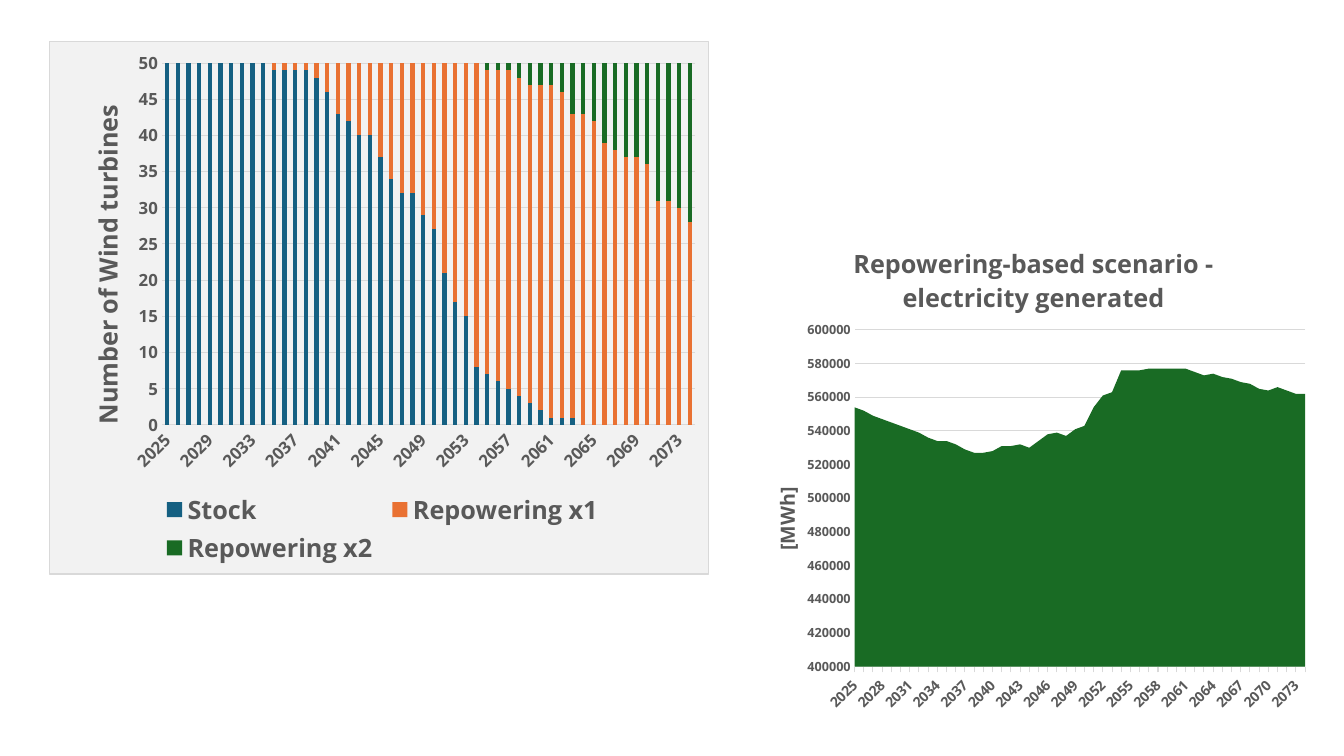
from dataclasses import dataclass
from typing import Any, Optional

from lxml import etree
from pptx import Presentation
from pptx import util as u
from pptx.chart.data import CategoryChartData
from pptx.dml.color import RGBColor
from pptx.enum import chart as ce
from pptx.oxml import parse_xml
from pptx.oxml.ns import nsdecls, qn

PX = u.Inches(1) // 100
FONT = "Open Sans"
BLUE = RGBColor(0x15, 0x60, 0x82)
ORANGE = RGBColor(0xE9, 0x71, 0x32)
GREEN = RGBColor(0x19, 0x6B, 0x24)
TEXT_GRAY = RGBColor(0x59, 0x59, 0x59)
LINE_GRAY = RGBColor(0xD9, 0xD9, 0xD9)
PANEL_GRAY = RGBColor(0xF2, 0xF2, 0xF2)

YEARS = [str(year) for year in range(2025, 2075)]
TURBINES = 50
STOCK = [50] * 10 + [
    49, 49, 49, 49, 48, 46, 43, 42, 40, 40, 37, 34, 32, 32, 29, 27, 21, 17, 15, 8,
    7, 6, 5, 4, 3, 2, 1, 1, 1] + [0] * 11
SECOND_REPOWERING = [0] * 30 + [
    1, 1, 1, 2, 3, 3, 3, 4, 7, 7, 8, 11, 12, 13, 13, 14, 19, 19, 20, 22]
FIRST_REPOWERING = [
    TURBINES - stock - second for stock, second in zip(STOCK, SECOND_REPOWERING)]
BASE_MWH = [2000] * len(YEARS)
MAIN_MWH = [1000 * value for value in (
    552, 550, 547, 545, 543, 541, 539, 537, 534, 532, 532, 530, 527, 525, 525, 526, 529,
    529, 530, 528, 532, 536, 537, 535, 539, 541, 552, 559, 561, 574, 574, 574, 575, 575,
    575, 575, 575, 573, 571, 572, 570, 569, 567, 566, 563, 562, 564, 562, 560, 560)]


@dataclass(frozen=True)
class Series:
    name: str
    values: list[int]
    color: RGBColor


@dataclass(frozen=True)
class ChartPanel:
    kind: ce.XL_CHART_TYPE
    box: tuple[int, int, int, int]
    plot_box: tuple[float, ...]
    series: list[Series]
    axis_title: str
    axis_title_size: int
    axis_title_at: tuple[float, ...]
    category_size: int
    value_size: int
    minimum: int
    maximum: int
    step: int
    label_skip: int
    tick_mark: ce.XL_TICK_MARK
    title: Optional[str] = None
    title_at: tuple[float, ...] = ()
    legend_box: tuple[float, ...] = ()
    fill: Optional[RGBColor] = None


PANELS = [
    ChartPanel(
        ce.XL_CHART_TYPE.COLUMN_STACKED, (49, 41, 654, 529), (0.17, 0.04, 0.81, 0.68),
        [Series("Stock", STOCK, BLUE),
         Series("Repowering x1", FIRST_REPOWERING, ORANGE),
         Series("Repowering x2", SECOND_REPOWERING, GREEN)],
        "Number of Wind turbines", 18, (0.05, 0.11), 12, 12,
        0, TURBINES, 5, 4, ce.XL_TICK_MARK.NONE,
        legend_box=(0.16, 0.84, 0.69, 0.15), fill=PANEL_GRAY),
    ChartPanel(
        ce.XL_CHART_TYPE.AREA_STACKED, (733, 211, 573, 506), (0.2, 0.23, 0.78, 0.66),
        [Series("Series 1", BASE_MWH, BLUE), Series("Series 2", MAIN_MWH, GREEN)],
        "[MWh]", 14, (0.05, 0.53), 10, 9,
        400000, 600000, 20000, 3, ce.XL_TICK_MARK.OUTSIDE,
        title="Repowering-based scenario - electricity generated", title_at=(0.19, 0.05)),
]


def format_font(font: Any, *, size: int, color: RGBColor = TEXT_GRAY) -> None:
    font.name = FONT
    font.size = u.Pt(size)
    font.bold = True
    font.color.rgb = color


def write_text(frame: Any, text: str, *, size: int, color: RGBColor = TEXT_GRAY) -> None:
    paragraph = frame.paragraphs[0]
    run = paragraph.add_run()
    run.text = text
    format_font(run.font, size=size, color=color)


def chart_part(chart: Any, *names: str) -> Any:
    part = chart.element.find(qn("c:chart"))
    for name in names:
        part = part.find(qn(f"c:{name}"))
    return part


def place(parent: Any, box: tuple[float, ...], index: int) -> None:
    for old_layout in parent.findall(qn("c:layout")):
        parent.remove(old_layout)
    layout = etree.Element(qn("c:layout"))
    manual = etree.SubElement(layout, qn("c:manualLayout"))
    if parent.tag == qn("c:plotArea"):
        etree.SubElement(manual, qn("c:layoutTarget")).set("val", "inner")
    for name in ("xMode", "yMode"):
        etree.SubElement(manual, qn(f"c:{name}")).set("val", "edge")
    for name, value in zip("xywh", box):
        etree.SubElement(manual, qn(f"c:{name}")).set("val", str(value))
    parent.insert(index, layout)


def style_background(chart: Any, fill: Optional[RGBColor]) -> None:
    paint = f'<a:solidFill><a:srgbClr val="{fill}"/></a:solidFill>' if fill else "<a:noFill/>"
    border = (f'<a:solidFill><a:srgbClr val="{LINE_GRAY}"/></a:solidFill>'
              if fill else "<a:noFill/>")
    properties = parse_xml(
        f'<c:spPr {nsdecls("c", "a")}>{paint}<a:ln w="{u.Pt(0.75)}">{border}</a:ln></c:spPr>')
    chart_part(chart).addnext(properties)


def style_line(line: Any) -> None:
    line.color.rgb = LINE_GRAY
    line.width = u.Pt(0.75)


def style_axes(chart: Any, panel: ChartPanel) -> None:
    years = chart.category_axis
    years.major_tick_mark = panel.tick_mark
    years.minor_tick_mark = ce.XL_TICK_MARK.NONE
    years.has_major_gridlines = False
    style_line(years.format.line)
    format_font(years.tick_labels.font, size=panel.category_size)
    year_axis = chart_part(chart, "plotArea", "catAx")
    next(year_axis.iter(qn("a:bodyPr"))).set("rot", "-2700000")
    skip = etree.Element(qn("c:tickLblSkip"))
    skip.set("val", str(panel.label_skip))
    year_axis.find(qn("c:lblOffset")).addnext(skip)

    amounts = chart.value_axis
    amounts.minimum_scale = panel.minimum
    amounts.maximum_scale = panel.maximum
    amounts.major_unit = panel.step
    amounts.major_tick_mark = ce.XL_TICK_MARK.NONE
    amounts.minor_tick_mark = ce.XL_TICK_MARK.NONE
    amounts.has_major_gridlines = True
    style_line(amounts.major_gridlines.format.line)
    amounts.format.line.fill.background()
    format_font(amounts.tick_labels.font, size=panel.value_size)
    amounts.tick_labels.number_format = "General"
    amounts.tick_labels.number_format_is_linked = False
    write_text(amounts.axis_title.text_frame, panel.axis_title, size=panel.axis_title_size)
    title = chart_part(chart, "plotArea", "valAx", "title")
    body = next(title.iter(qn("a:bodyPr")))
    body.set("rot", "-5400000")
    body.set("vert", "horz")
    place(title, panel.axis_title_at, 1)


def add_panel(slide: Any, panel: ChartPanel) -> None:
    data = CategoryChartData()
    data.categories = YEARS
    for series in panel.series:
        data.add_series(series.name, series.values)
    box = [u.Emu(length * PX) for length in panel.box]
    chart = slide.shapes.add_chart(panel.kind, *box, data).chart
    format_font(chart.font, size=panel.category_size)
    style_background(chart, panel.fill)
    style_axes(chart, panel)

    plot = chart.plots[0]
    plot.vary_by_categories = False
    if panel.kind == ce.XL_CHART_TYPE.COLUMN_STACKED:
        plot.gap_width = 150
        plot.overlap = 100
    for drawn, series in zip(plot.series, panel.series):
        drawn.format.fill.solid()
        drawn.format.fill.fore_color.rgb = series.color
    place(chart_part(chart, "plotArea"), panel.plot_box, 0)

    chart.has_title = panel.title is not None
    if panel.title:
        write_text(chart.chart_title.text_frame, panel.title, size=18)
        place(chart_part(chart, "title"), panel.title_at, 1)
    chart.has_legend = bool(panel.legend_box)
    if panel.legend_box:
        chart.legend.position = ce.XL_LEGEND_POSITION.BOTTOM
        chart.legend.include_in_layout = False
        format_font(chart.legend.font, size=18)
        place(chart_part(chart, "legend"), panel.legend_box, 1)


presentation = Presentation()
presentation.slide_width, presentation.slide_height = u.Emu(1333 * PX), u.Emu(750 * PX)
main_slide = presentation.slides.add_slide(presentation.slide_layouts[6])
for chart_panel in PANELS:
    add_panel(main_slide, chart_panel)
presentation.save("out.pptx")
